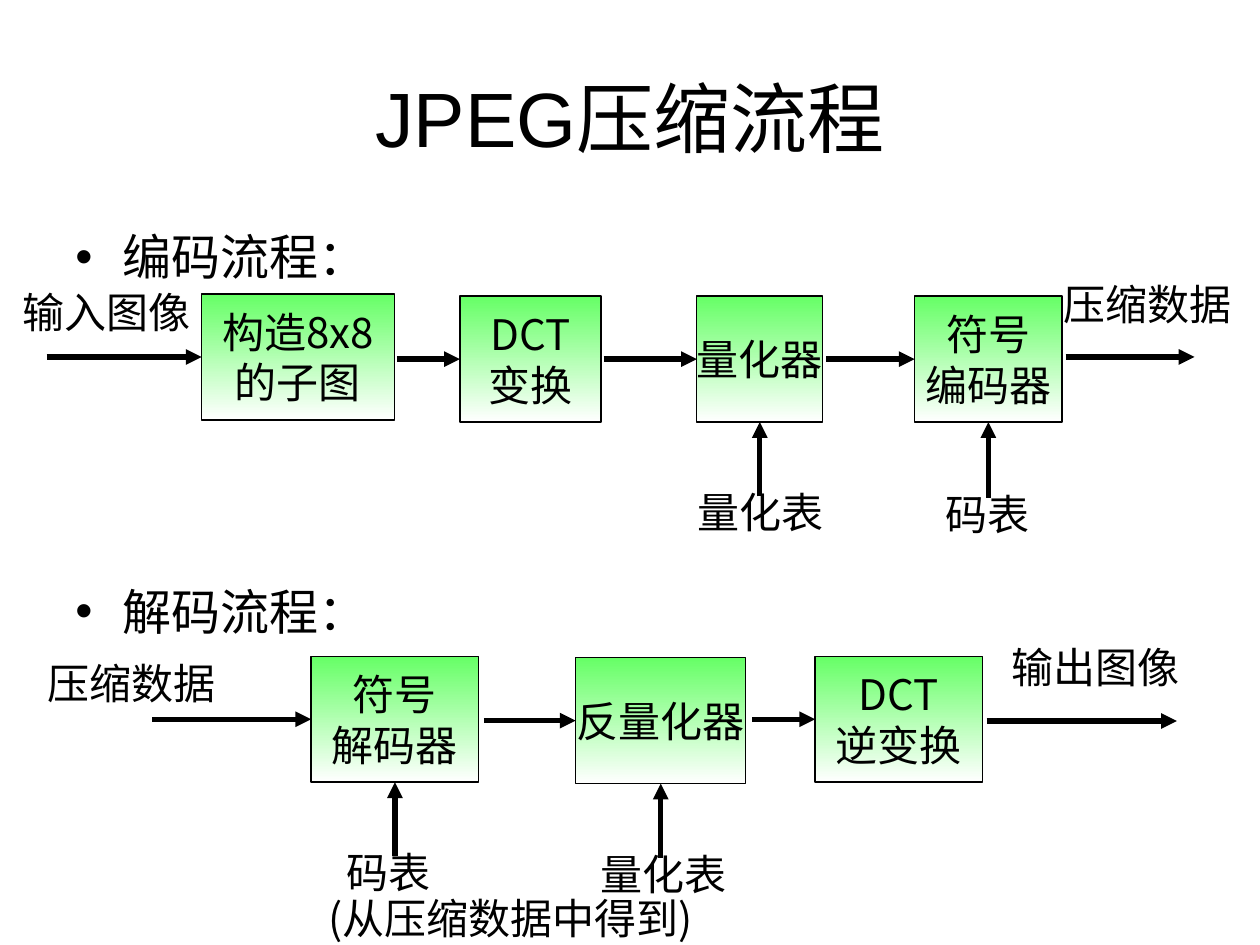
from lxml import etree
from pptx import Presentation
from pptx.dml.color import RGBColor as RGB
from pptx.enum.shapes import MSO_CONNECTOR as CONN, MSO_SHAPE as SHAPE
from pptx.enum.text import MSO_ANCHOR as ANCHOR, PP_ALIGN as ALIGN
from pptx.oxml.ns import qn
from pptx.util import Pt

COLORS = {"ink": "000000", "green": "66FF66", "white": "FFFFFF"}
LATIN, CJK = "Arial", "Noto Sans CJK SC"
LEFT, BOTTOM = 1, 2  # connection sites of a rectangle


def color(name):
    return RGB.from_string(COLORS[name])


class FlowSlide:
    def __init__(self, prs):
        self.s = prs.slides.add_slide(prs.slide_layouts[6])
        self.size = 24

    def add_lines(self, tf, lines, size, font, align, anchor, wrap):
        tf.word_wrap = wrap
        tf.vertical_anchor = anchor
        for i, line in enumerate(lines):
            p = tf.paragraphs[0] if i == 0 else tf.add_paragraph()
            p.alignment = align
            r = p.add_run()
            r.text = line
            r.font.size = Pt(size)
            r.font.name = font
            r.font.color.rgb = color("ink")

    def text(self, x, y, w, h, lines, size=None, font=CJK, align=ALIGN.CENTER,
             anchor=ANCHOR.MIDDLE, wrap=False):
        sp = self.s.shapes.add_textbox(Pt(x), Pt(y), Pt(w), Pt(h))
        self.add_lines(sp.text_frame, lines, size or self.size, font, align, anchor, wrap)
        return sp

    def bullets(self, x, y, w, h, lines, size, gap):
        sp = self.text(x, y, w, h, lines, size, LATIN, ALIGN.LEFT, ANCHOR.TOP, True)
        for i, p in enumerate(sp.text_frame.paragraphs):
            pPr = p._p.get_or_add_pPr()
            pPr.set("marL", str(Pt(27)))
            pPr.set("indent", str(-Pt(27)))
            etree.SubElement(pPr, qn("a:buFont"), typeface=LATIN)
            etree.SubElement(pPr, qn("a:buChar"), char="•")
            if i:
                p.space_before = Pt(gap)

    def box(self, x, y, w, lines, h=72):
        sp = self.s.shapes.add_shape(SHAPE.RECTANGLE, Pt(x), Pt(y), Pt(w), Pt(h))
        sp.shadow.inherit = False
        sp.fill.gradient()
        sp.fill.gradient_angle = 270
        for stop, name, pos in zip(sp.fill.gradient_stops, ("green", "white"), (0, 1)):
            stop.color.rgb = color(name)
            stop.position = pos
        sp.line.color.rgb = color("ink")
        sp.line.width = Pt(0.75)
        self.add_lines(sp.text_frame, lines, self.size, CJK, ALIGN.CENTER, ANCHOR.MIDDLE, False)
        return sp

    def arrow(self, x1, y1, x2, y2):
        c = self.s.shapes.add_connector(CONN.STRAIGHT, Pt(x1), Pt(y1), Pt(x2), Pt(y2))
        c.line.color.rgb = color("ink")
        c.line.width = Pt(3)
        spPr = c._element.spPr
        etree.SubElement(spPr.find(qn("a:ln")), qn("a:tailEnd"), type="triangle")
        etree.SubElement(spPr, qn("a:effectLst"))
        return c

    def arrow_into(self, sp, site, start):
        """Straight arrow into a box: start is its x (LEFT) or its y (BOTTOM)."""
        if site == LEFT:
            end = sp.left.pt, sp.top.pt + sp.height.pt / 2
            begin = start, end[1]
        else:
            end = sp.left.pt + sp.width.pt / 2, sp.top.pt + sp.height.pt
            begin = end[0], start
        self.arrow(*begin, *end).end_connect(sp, site)

    def chain(self, steps):
        """Boxes from left to right, each with an arrow into its left side."""
        boxes = []
        for start, x, y, w, lines in steps:
            boxes.append(self.box(x, y, w, lines))
            self.arrow_into(boxes[-1], LEFT, start)
        return boxes


def main():
    prs = Presentation()
    prs.slide_width, prs.slide_height = Pt(720), Pt(540)
    s = FlowSlide(prs)

    # Title and section bullets
    s.text(36, 21.6, 648, 90, ["JPEG压缩流程"], 44, LATIN, wrap=True)
    s.bullets(36, 126, 648, 356.4, ["编码流程：", "解码流程："], 28, 169)

    # Encoder: start of arrow, then left, top, width and text of box
    _, _, quantizer, coder = s.chain([
        (26.6, 115.2, 168, 110.2, ["构造8x8", "的子图"]),
        (226.8, 262.8, 169.2, 80.6, ["DCT", "变换"]),
        (344.9, 398.2, 169.2, 72, ["量化器"]),
        (472.3, 522.7, 169.2, 84.2, ["符号", "编码器"]),
    ])
    s.arrow(609, 204, 682.6, 204)

    # Decoder
    decoder, dequantizer, _ = s.chain([
        (87, 177.8, 375, 95.8, ["符号", "解码器"]),
        (276.5, 329, 375.8, 97.2, ["反量化器"]),
        (430, 465.8, 375, 95.8, ["DCT", "逆变换"]),
    ])
    s.arrow(563.8, 412, 672.5, 412)

    # Inputs and outputs
    for x, y, label in [(5.8, 160, "输入图像"), (600.5, 155.5, "压缩数据"),
                        (20.2, 372.2, "压缩数据"), (571, 363, "输出图像")]:
        s.text(x, y, 110.2, 36, [label])

    # Tables feeding the boxes from below
    for sp, x, y, start, label in [(quantizer, 389.5, 274.5, 283.7, "量化表"),
                                   (coder, 519, 275.5, 284.4, "码表"),
                                   (decoder, 176.4, 480.2, 489, "码表"),
                                   (dequantizer, 334, 481, 490.3, "量化表")]:
        s.text(x, y, 90.7, 36, [label], wrap=True)
        s.arrow_into(sp, BOTTOM, start)
    s.text(180.7, 506.2, 247, 36, ["(从压缩数据中得到)"], align=ALIGN.LEFT, anchor=ANCHOR.TOP)

    prs.save("out.pptx")


if __name__ == "__main__":
    main()
